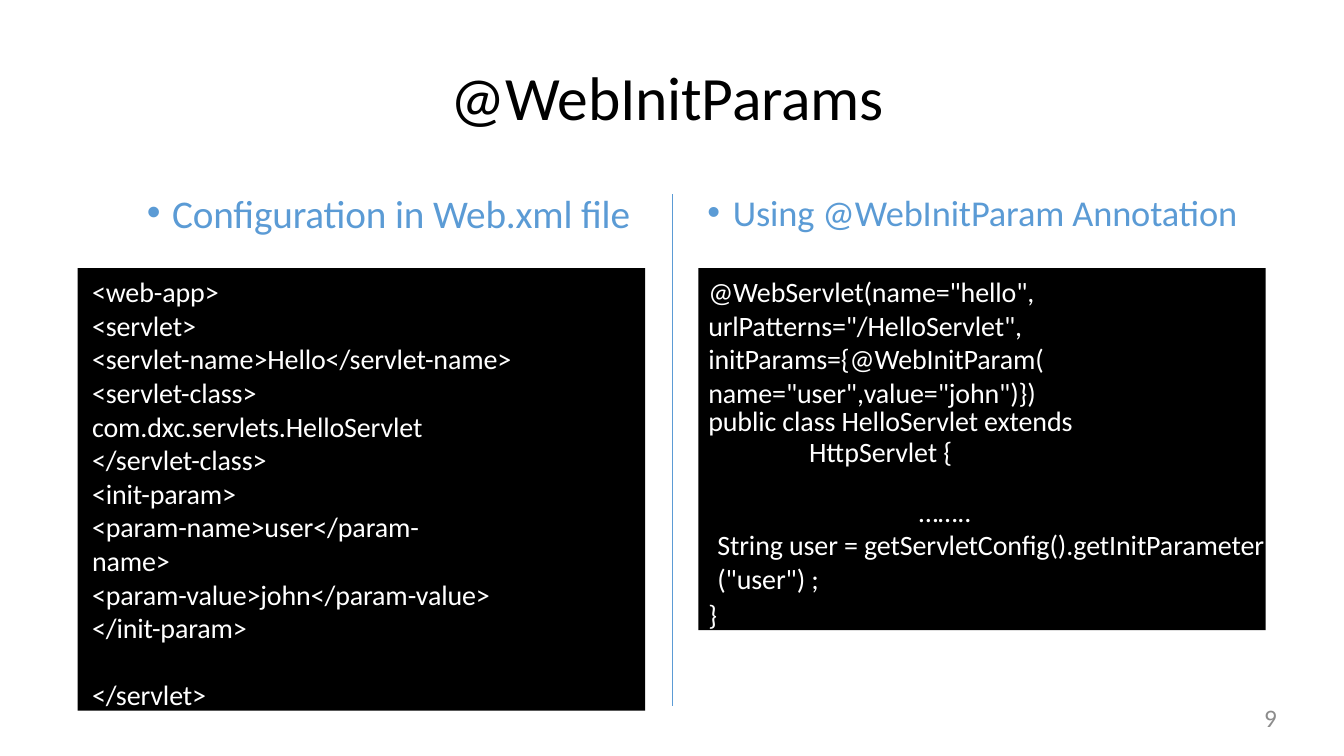
from dataclasses import dataclass

import lxml.etree
import pptx
import pptx.dml.color
import pptx.enum.shapes
import pptx.enum.text
import pptx.oxml.ns
import pptx.util

Cm = pptx.util.Cm
Pt = pptx.util.Pt
RGB = pptx.dml.color.RGBColor
qn = pptx.oxml.ns.qn


@dataclass(frozen=True)
class Theme:
    face: str = "Calibri"
    blue: str = "5B9BD5"
    black: str = "000000"
    white: str = "FFFFFF"
    grey: str = "8C8C8C"
    title: float = 44
    code: float = 20
    page: float = 18


@dataclass(frozen=True)
class Area:
    """Left, top, width and height in centimetres."""
    left: float
    top: float
    width: float
    height: float

    def cm(self) -> tuple:
        return Cm(self.left), Cm(self.top), Cm(self.width), Cm(self.height)


@dataclass(frozen=True)
class Line:
    """A code paragraph: indents in centimetres, spacing in points."""
    text: str
    left: float
    right: float = 0
    before: float = 0
    pitch: float = 0


@dataclass(frozen=True)
class Head:
    text: str
    area: Area
    size: float


@dataclass(frozen=True)
class Panel:
    area: Area
    lines: tuple


THEME = Theme()
TITLE = Area(11.33, 1.42, 10.95, 1.93)
PAGE = Area(24.38, 17.7, 7.8, 0.97)
HEADS = (
    Head("Configuration in Web.xml file", Area(3.68, 4.73, 12.5, 1.24), 28),
    Head("Using @WebInitParam Annotation", Area(17.81, 4.76, 13.9, 1.17), 26),
)
XML, JAVA = 0.36, 0.25
PANELS = (
    Panel(Area(17.6, 6.76, 14.3, 9.12), (
        Line('@WebServlet(name="hello", urlPatterns="/HelloServlet", '
             'initParams={@WebInitParam(', JAVA),
        Line('name="user",value="john")}) public class HelloServlet extends',
             JAVA, right=4.4, before=3.8, pitch=20.3),
        Line("HttpServlet {", 2.79, pitch=21.6),
        Line("……..", 5.56, before=18.8),
        Line('String user = getServletConfig().getInitParameter ("user") ;',
             0.48),
        Line("}", JAVA, before=1.6),
    )),
    Panel(Area(1.96, 6.76, 14.3, 11.15), (
        Line("<web-app>", XML),
        Line("<servlet>", XML),
        Line("<servlet-name>Hello</servlet-name>", XML),
        Line("<servlet-class> com.dxc.servlets.HelloServlet", XML, right=4.65),
        Line("</servlet-class>", XML),
        Line("<init-param>", XML),
        Line("<param-name>user</param-name>", XML, right=4.65),
        Line("<param-value>john</param-value>", XML),
        Line("</init-param>", XML),
        Line("</servlet>", XML, before=24),
    )),
)


def style(para, size: float, color: str, track: int = 0) -> None:
    """Set the paragraph font; track is in hundredths of a point."""
    font = para.font
    font.name = THEME.face
    font.size = Pt(size)
    font.color.rgb = RGB.from_string(color)
    if track:
        para._p.pPr.find(qn("a:defRPr")).set("spc", str(track))


def frame(shape, top: float = 0, left: float = 0):
    """Clear the insets, save those given, and anchor the text at the top."""
    text = shape.text_frame
    text.word_wrap = True
    text.auto_size = pptx.enum.text.MSO_AUTO_SIZE.NONE
    text.vertical_anchor = pptx.enum.text.MSO_ANCHOR.TOP
    text.margin_right = text.margin_bottom = 0
    text.margin_top, text.margin_left = Cm(top), Cm(left)
    return text


def bullet(para) -> None:
    props = para._p.get_or_add_pPr()
    props.set("marL", str(Cm(0.66)))
    props.set("indent", str(-Cm(0.64)))
    tint = lxml.etree.SubElement(props, qn("a:buClr"))
    lxml.etree.SubElement(tint, qn("a:srgbClr"), val=THEME.blue)
    lxml.etree.SubElement(props, qn("a:buFont"), typeface="Arial")
    lxml.etree.SubElement(props, qn("a:buChar"), char="•")


def add_title(slide, text: str) -> None:
    shape = slide.shapes.title
    shape.left, shape.top, shape.width, shape.height = TITLE.cm()
    para = frame(shape, 0.06, 0.03).paragraphs[0]
    para.text = text
    para.alignment = pptx.enum.text.PP_ALIGN.LEFT
    style(para, THEME.title, THEME.black, -20)


def add_rule(slide) -> None:
    rule = slide.shapes.add_connector(
        pptx.enum.shapes.MSO_CONNECTOR.STRAIGHT,
        Cm(16.94), Cm(4.9), Cm(16.94), Cm(17.8))
    rule.line.color.rgb = RGB.from_string(THEME.blue)
    rule.line.width = Pt(0.96)
    lxml.etree.SubElement(rule._element.spPr, qn("a:effectLst"))


def add_head(slide, head: Head) -> None:
    box = slide.shapes.add_textbox(*head.area.cm())
    para = frame(box, 0.03).paragraphs[0]
    para.text = head.text
    bullet(para)
    style(para, head.size, THEME.blue, -10)


def add_panel(slide, panel: Panel) -> None:
    shape = slide.shapes.add_shape(
        pptx.enum.shapes.MSO_SHAPE.RECTANGLE, *panel.area.cm())
    shape.shadow.inherit = False
    shape.fill.solid()
    shape.fill.fore_color.rgb = RGB.from_string(THEME.black)
    shape.line.fill.background()
    text = frame(shape, 0.16)
    for rank, line in enumerate(panel.lines):
        para = text.add_paragraph() if rank else text.paragraphs[0]
        para.text = line.text
        para.alignment = pptx.enum.text.PP_ALIGN.LEFT
        props = para._p.get_or_add_pPr()
        props.set("marL", str(Cm(line.left)))
        props.set("marR", str(Cm(line.right)))
        if line.before:
            para.space_before = Pt(line.before)
        if line.pitch:
            para.line_spacing = Pt(line.pitch)
        style(para, THEME.code, THEME.white, -10)


def add_page(slide, text: str) -> None:
    para = frame(slide.shapes.add_textbox(*PAGE.cm())).paragraphs[0]
    para.text = text
    para.alignment = pptx.enum.text.PP_ALIGN.RIGHT
    style(para, THEME.page, THEME.grey)


def main() -> None:
    deck = pptx.Presentation()
    deck.slide_width, deck.slide_height = Cm(33.87), Cm(19.05)
    slide = deck.slides.add_slide(deck.slide_layouts[5])
    add_title(slide, "@WebInitParams")
    add_rule(slide)
    for head in HEADS:
        add_head(slide, head)
    for panel in PANELS:
        add_panel(slide, panel)
    add_page(slide, "9")
    deck.save("out.pptx")


if __name__ == "__main__":
    main()
